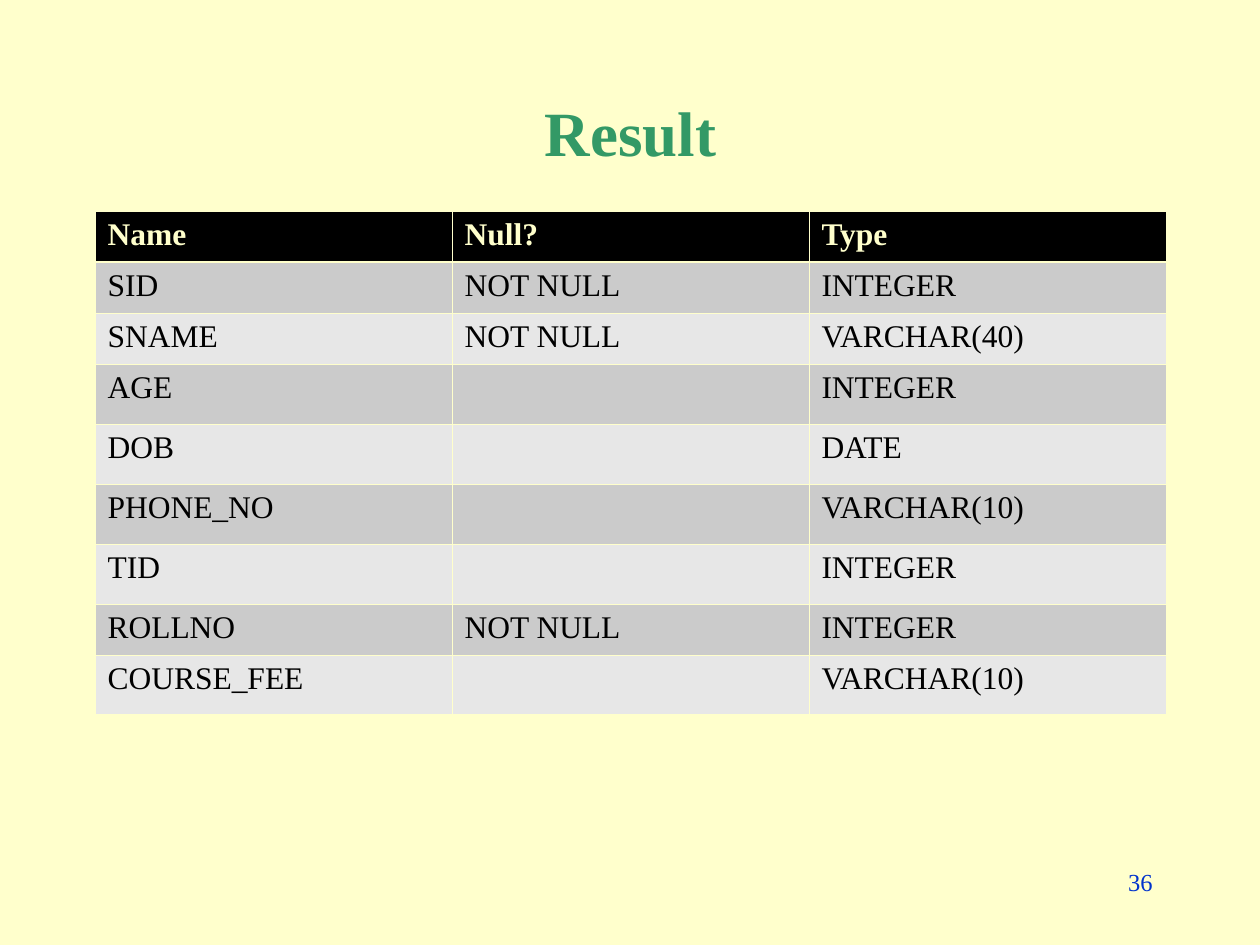
from lxml import etree
from pptx import Presentation
from pptx.dml.color import RGBColor
from pptx.enum.text import MSO_ANCHOR, PP_ALIGN
from pptx.oxml.ns import qn
from pptx.util import Emu, Pt

FONT = "Times New Roman"
COLORS = {
    "background": "FFFFCC",
    "title": "339966",
    "header": "000000",
    "text": "000000",
    "odd_row": "CBCBCB",
    "even_row": "E7E7E7",
    "border": "FFFFCC",
    "number": "0033CC",
}
HEADER = ("Name", "Null?", "Type")
COLUMNS = [
    ("SID", "NOT NULL", "INTEGER"),
    ("SNAME", "NOT NULL", "VARCHAR(40)"),
    ("AGE", "", "INTEGER"),
    ("DOB", "", "DATE"),
    ("PHONE_NO", "", "VARCHAR(10)"),
    ("TID", "", "INTEGER"),
    ("ROLLNO", "NOT NULL", "INTEGER"),
    ("COURSE_FEE", "", "VARCHAR(10)"),
]
FULL_ROW, GAP_ROW = 51, 60  # rows with an empty cell are taller
THIN, THICK = 0.45, 1.47


def px(length):
    return Emu(round(length * 914400 / 126))


def color(name):
    return RGBColor.from_string(COLORS[name])


def style(paragraph, size, color_name, bold=False, align=PP_ALIGN.LEFT):
    paragraph.alignment = align
    font = paragraph.font
    font.name, font.size, font.bold = FONT, Pt(size), bold
    font.color.rgb = color(color_name)


def add_text(slide, box, text, anchor, **look):
    frame = slide.shapes.add_textbox(*map(px, box)).text_frame
    frame.word_wrap = True
    frame.vertical_anchor = anchor
    frame.text = text
    style(frame.paragraphs[0], **look)


def set_borders(cell, top, bottom):
    properties = cell._tc.get_or_add_tcPr()
    for side, width in (("L", THIN), ("R", THIN), ("T", top), ("B", bottom)):
        line = etree.SubElement(properties, qn(f"a:ln{side}"), w=str(Pt(width)))
        fill = etree.SubElement(line, qn("a:solidFill"))
        etree.SubElement(fill, qn("a:srgbClr"), val=COLORS["border"])


def add_result_table(slide, left, top, width):
    rows = [HEADER, *COLUMNS]
    heights = [FULL_ROW if all(row) else GAP_ROW for row in rows]
    table = slide.shapes.add_table(
        len(rows), len(HEADER), px(left), px(top), px(width), px(sum(heights))
    ).table
    for column in table.columns:
        column.width = px(width / len(HEADER))

    for index, (values, height) in enumerate(zip(rows, heights)):
        table.rows[index].height = px(height)
        is_header = index == 0
        fill_name = "header" if is_header else "odd_row" if index % 2 else "even_row"
        for cell, value in zip(table.rows[index].cells, values):
            # Heavier rule between the header and the first row
            set_borders(cell, THICK if index == 1 else THIN, THICK if is_header else THIN)
            cell.fill.solid()
            cell.fill.fore_color.rgb = color(fill_name)
            cell.text = value
            style(cell.text_frame.paragraphs[0], 18,
                  "border" if is_header else "text", bold=is_header)


def build_slide(presentation):
    slide = presentation.slides.add_slide(presentation.slide_layouts[6])
    slide.background.fill.solid()
    slide.background.fill.fore_color.rgb = color("background")

    # Title
    add_text(slide, (95, 84, 1071, 95), "Result", MSO_ANCHOR.MIDDLE,
             size=36, color_name="title", bold=True, align=PP_ALIGN.CENTER)
    # Table description
    add_result_table(slide, 95, 211, 1071)
    # Slide number
    add_text(slide, (903, 861, 262, 63), "36", MSO_ANCHOR.TOP,
             size=14, color_name="number", align=PP_ALIGN.RIGHT)


def main():
    presentation = Presentation()
    presentation.slide_width, presentation.slide_height = px(1260), px(945)
    build_slide(presentation)
    presentation.save("out.pptx")


if __name__ == "__main__":
    main()
